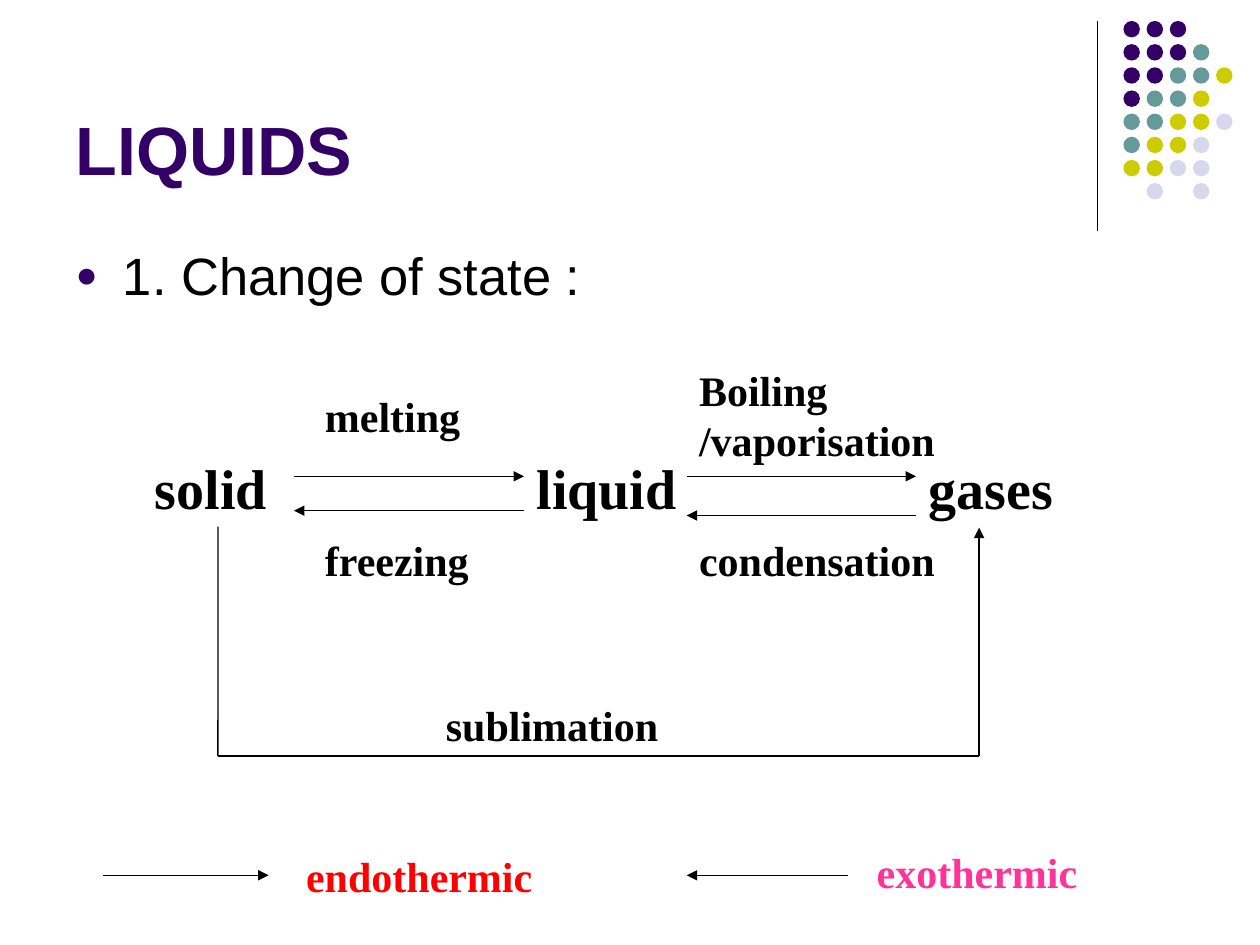
from dataclasses import dataclass
from typing import Optional

from lxml import etree
from pptx import Presentation
from pptx.dml.color import RGBColor
from pptx.enum import shapes, text
from pptx.oxml import ns
from pptx.util import Pt


@dataclass(frozen=True)
class Theme:
    purple: str = "330066"
    teal: str = "669999"
    olive: str = "CCCC00"
    lavender: str = "D8D8EC"
    black: str = "000000"
    red: str = "FF0000"
    pink: str = "FF3399"
    heading_font: str = "Arial"
    label_font: str = "Times New Roman"
    title_size: float = 39
    body_size: float = 30
    state_size: float = 32
    process_size: float = 24
    line_width: float = 0.75


THEME = Theme()


@dataclass(frozen=True)
class Label:
    words: str
    left: float
    top: float
    width: float
    height: float = 36
    size: float = THEME.process_size
    color: str = THEME.black


@dataclass(frozen=True)
class Line:
    """A straight line; an arrow points at its end."""
    x1: float
    y1: float
    x2: float
    y2: float
    arrow: bool = True
    start_label: Optional[str] = None


STATE_TOP, STATE_HEIGHT = 255.6, 45.4
SOLID_X, GAS_X = 124.5, 559.5
LOOP_TOP, LOOP_BOTTOM = 301.5, 432
MELT_LEFT, MELT_RIGHT = 168, 299.5
BOIL_LEFT, BOIL_RIGHT = 392.4, 523.5
FORWARD_Y, LEGEND_Y = 272.2, 500.2

LABELS = [
    Label("liquid", 299.5, STATE_TOP, 118, STATE_HEIGHT, THEME.state_size),
    Label("solid", 81.4, STATE_TOP, 86.4, STATE_HEIGHT, THEME.state_size),
    Label("gases", BOIL_RIGHT, STATE_TOP, 91.4, STATE_HEIGHT, THEME.state_size),
    Label("melting", 178.6, 219.6, 94.3),
    Label("Boiling /vaporisation", BOIL_LEFT, 204.5, 167, 64.8),
    Label("freezing", 178.6, 301.7, 121),
    Label("condensation", BOIL_LEFT, 301.7, 167),
    Label("sublimation", 247.7, 396, 159.8),
    Label("endothermic", 167.8, 482.4, 159.8, color=THEME.red),
    Label("exothermic", 493.9, 480.2, 130.3, color=THEME.pink),
]

LINES = [
    Line(MELT_LEFT, FORWARD_Y, MELT_RIGHT, FORWARD_Y),
    Line(MELT_RIGHT, 291.8, MELT_LEFT, 291.8),
    Line(BOIL_LEFT, FORWARD_Y, BOIL_RIGHT, FORWARD_Y),
    Line(BOIL_RIGHT, 294.6, BOIL_LEFT, 294.6),
    Line(SOLID_X, LOOP_TOP, SOLID_X, LOOP_BOTTOM, False, "solid"),
    Line(SOLID_X, LOOP_BOTTOM, GAS_X, LOOP_BOTTOM, False),
    Line(GAS_X, LOOP_BOTTOM, GAS_X, LOOP_TOP),
    Line(59, LEGEND_Y, 153.5, LEGEND_Y),
    Line(484.7, LEGEND_Y, BOIL_LEFT, LEGEND_Y),
]

DOT_ROWS = ["PPP", "PPPT", "PPTTO", "PTTO", "TTOOL", "TOOL", "OOLL", " L L"]
DOT_COLORS = {"P": THEME.purple, "T": THEME.teal,
              "O": THEME.olive, "L": THEME.lavender}
DOT_LEFT, DOT_TOP, DOT_PITCH, DOT_SIZE = 642, 12, 13.23, 9.4


def place(shape, left: float, top: float, width: float, height: float) -> None:
    shape.left, shape.top = Pt(left), Pt(top)
    shape.width, shape.height = Pt(width), Pt(height)


def add_span(para, words: str, font: str, size: float, color: str, bold: bool) -> None:
    span = para.add_run()
    span.text = words
    span.font.name = font
    span.font.size = Pt(size)
    span.font.bold = bold
    span.font.color.rgb = RGBColor.from_string(color)


def add_line(page, line: Line, boxes: dict) -> None:
    connector = page.shapes.add_connector(
        shapes.MSO_CONNECTOR.STRAIGHT,
        Pt(line.x1), Pt(line.y1), Pt(line.x2), Pt(line.y2))
    if line.start_label:
        connector.begin_connect(boxes[line.start_label], 2)
    connector.line.width = Pt(THEME.line_width)
    connector.line.color.rgb = RGBColor.from_string(THEME.black)
    if line.arrow:
        etree.SubElement(connector.line._get_or_add_ln(), ns.qn("a:tailEnd"),
                         type="triangle")
    etree.SubElement(connector._element.spPr, ns.qn("a:effectLst"))


def add_label(page, label: Label):
    box = page.shapes.add_textbox(
        Pt(label.left), Pt(label.top), Pt(label.width), Pt(label.height))
    box.text_frame.word_wrap = True
    box.text_frame.auto_size = text.MSO_AUTO_SIZE.SHAPE_TO_FIT_TEXT
    add_span(box.text_frame.paragraphs[0], label.words, THEME.label_font,
             label.size, label.color, True)
    return box


def add_dots(page) -> None:
    for row, codes in enumerate(DOT_ROWS):
        for column, code in enumerate(codes):
            if code == " ":
                continue
            dot = page.shapes.add_shape(
                shapes.MSO_SHAPE.OVAL,
                Pt(DOT_LEFT + column * DOT_PITCH), Pt(DOT_TOP + row * DOT_PITCH),
                Pt(DOT_SIZE), Pt(DOT_SIZE))
            dot.shadow.inherit = False
            dot.fill.solid()
            dot.fill.fore_color.rgb = RGBColor.from_string(DOT_COLORS[code])
            dot.line.fill.background()


def add_bullet(para) -> None:
    props = para._p.get_or_add_pPr()
    props.set("marL", str(Pt(27)))
    props.set("indent", str(-Pt(27)))
    color = etree.SubElement(props, ns.qn("a:buClr"))
    etree.SubElement(color, ns.qn("a:srgbClr"), val=THEME.purple)
    etree.SubElement(props, ns.qn("a:buSzPct"), val="70000")
    etree.SubElement(props, ns.qn("a:buFont"), typeface=THEME.heading_font)
    etree.SubElement(props, ns.qn("a:buChar"), char="●")


def fill_placeholders(page) -> None:
    title, body = page.placeholders
    place(title, 36, 9.4, 594, 102.2)
    place(body, 36, 135.4, 648, 347)
    for holder in (title, body):
        holder.text_frame.auto_size = text.MSO_AUTO_SIZE.NONE
    title.text_frame.vertical_anchor = text.MSO_ANCHOR.BOTTOM
    heading = title.text_frame.paragraphs[0]
    heading.alignment = text.PP_ALIGN.LEFT
    add_span(heading, "LIQUIDS", THEME.heading_font, THEME.title_size,
             THEME.purple, True)
    item = body.text_frame.paragraphs[0]
    add_bullet(item)
    add_span(item, "1. Change of state :", THEME.heading_font, THEME.body_size,
             THEME.black, False)


def main() -> None:
    deck = Presentation()
    deck.slide_width, deck.slide_height = Pt(720), Pt(540)
    page = deck.slides.add_slide(deck.slide_layouts[1])
    fill_placeholders(page)
    add_line(page, Line(627, 12, 627, 132, False), {})
    add_dots(page)
    boxes = {label.words: add_label(page, label) for label in LABELS}
    for line in LINES:
        add_line(page, line, boxes)
    deck.save("out.pptx")


if __name__ == "__main__":
    main()
